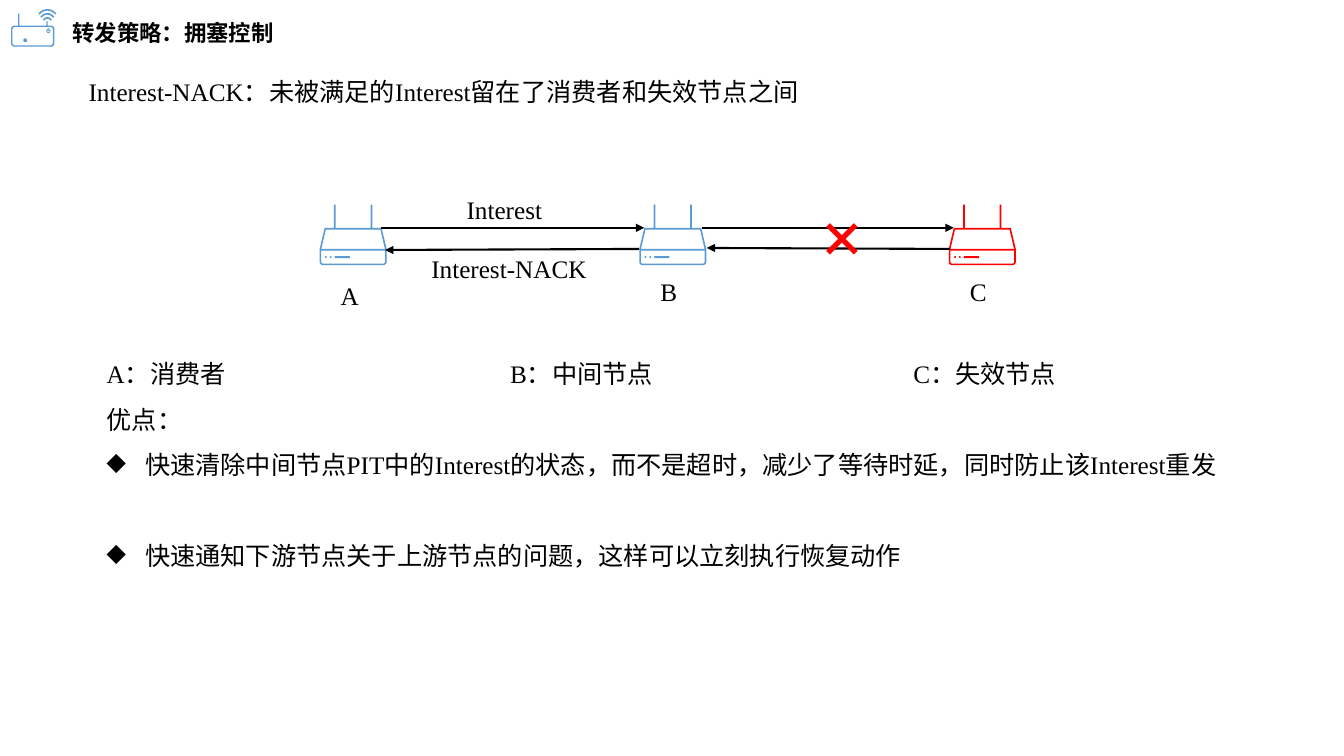
from math import cos, radians, sin

from lxml.etree import SubElement
from pptx import Presentation
from pptx.dml.color import RGBColor
from pptx.enum.shapes import MSO_CONNECTOR
from pptx.enum.text import MSO_AUTO_SIZE
from pptx.oxml.ns import qn
from pptx.util import Inches, Pt

# The slide is a grid of 1333 columns by 750 rows.
COLS, ROWS = 1333, 750
CELL = Inches(0.01)
FONT = "Times New Roman"
BLACK, BLUE, RED = "000000", "5B9BD5", "FF0000"

ROUTER_TOP = 203
ROUTERS = [("A", 317, 273, BLUE), ("B", 634, 269, BLUE), ("C", 941, 269, RED)]
ARROWS = [
    ((378, 226), (639, 226)),
    ((696, 226), (946, 226)),
    ((942, 247), (701, 246)),
    ((634, 247), (382, 248)),
]
ADVANTAGES = [
    "快速清除中间节点PIT中的Interest的状态，而不是超时，减少了等待时延，同时防止该Interest重发",
    "快速通知下游节点关于上游节点的问题，这样可以立刻执行恢复动作",
]


def grid(n):
    return round(n * CELL)


def rgb(color):
    return RGBColor.from_string(color)


def arc(cx, cy, radius, start, end, steps=8):
    """Points along a circle, angles in degrees clockwise from the right."""
    angles = [radians(start + (end - start) * i / steps) for i in range(steps + 1)]
    return [(cx + radius * cos(a), cy + radius * sin(a)) for a in angles]


def box(left, top, right, bottom):
    return [(left, top), (right, top), (right, bottom), (left, bottom)]


def round_box(left, top, right, bottom, radius):
    l, t, r, b = left + radius, top + radius, right - radius, bottom - radius
    corners = [(l, t, 180), (r, t, 270), (r, b, 0), (l, b, 90)]
    return [pt for x, y, a in corners for pt in arc(x, y, radius, a, a + 90)]


def disc(cx, cy, radius):
    return arc(cx, cy, radius, 0, 360, 16)


def band(cx, cy, radius, width, half_angle):
    """A curved wireless wave, centred on the upward direction."""
    ends = (270 - half_angle, 270 + half_angle)
    return arc(cx, cy, radius, *ends) + arc(cx, cy, radius - width, *ends[::-1])


def add_glyph(slide, left, top, contours, color):
    """One filled outline; a contour inside another one cuts a hole."""
    scaled = [[(grid(x), grid(y)) for x, y in c] for c in contours]
    builder = slide.shapes.build_freeform(*scaled[0][0])
    for i, points in enumerate(scaled):
        if i:
            builder.move_to(*points[0])
        builder.add_line_segments(points[1:], close=True)
    s = builder.convert_to_shape(grid(left), grid(top))
    s.shadow.inherit = False
    s.fill.solid()
    s.fill.fore_color.rgb = rgb(color)
    s.line.fill.background()


def add_router(slide, left, color):
    lower_edge = arc(63, 56.6, 3.5, 0, 90) + arc(3.5, 56.6, 3.5, 90, 180)
    lower_hole = arc(63, 56.6, 1.9, 0, 90) + arc(3.5, 56.6, 1.9, 90, 180)
    add_glyph(slide, left, ROUTER_TOP, [
        [(5, 23.2), (61.5, 23.2), (66.5, 44)] + lower_edge + [(0, 44)],
        [(6.2, 24.8), (60.3, 24.8), (64.8, 44), (1.7, 44)],
        [(1.6, 45.6), (64.9, 45.6)] + lower_hole,
        box(14.2, 0, 16, 23.2),
        box(50.5, 0, 52.3, 23.2),
        box(15, 51.2, 30, 53),
        disc(6.3, 52, 0.9),
        disc(11, 52, 0.9),
    ], color)


def add_title_icon(slide):
    waves = [(20.25, 11.25, 53), (21.3, 8.3, 57), (21.9, 4.9, 66)]
    add_glyph(slide, 0, 0, [
        round_box(11, 25.4, 54, 46.4, 3.5),
        round_box(12.4, 26.8, 52.4, 45, 2.2),
        box(18, 13.5, 19.3, 25.4),
        box(46, 21.3, 47.3, 25.4),
        disc(25, 40, 1.9),
        disc(48, 30.8, 2),
        disc(48, 30.8, 1.2),
        box(47.6, 28, 48.4, 31),
    ] + [band(47, cy, radius, 1.6, half) for cy, radius, half in waves], BLUE)


def add_run(p, text, size=18, color=BLACK, bold=False):
    r = p.add_run()
    r.text = text
    for name, value in {"name": FONT, "size": Pt(size), "bold": bold}.items():
        setattr(r.font, name, value)
    r.font.color.rgb = rgb(color)


def add_text(slide, at, text, **style):
    tf = slide.shapes.add_textbox(*map(grid, at)).text_frame
    tf.word_wrap = True
    tf.auto_size = MSO_AUTO_SIZE.SHAPE_TO_FIT_TEXT
    add_run(tf.paragraphs[0], text, **style)
    return tf


def add_arrow(slide, start, end):
    s = slide.shapes.add_connector(
        MSO_CONNECTOR.STRAIGHT, *map(grid, start + end))
    s.line.color.rgb = rgb(BLACK)
    s.line.width = Pt(1.5)
    SubElement(s.line._get_or_add_ln(), qn("a:tailEnd"), type="triangle")
    SubElement(s._element.spPr, qn("a:effectLst"))


def set_tab_stops(p, stops):
    tabs = SubElement(p._p.get_or_add_pPr(), qn("a:tabLst"))
    for stop in stops:
        SubElement(tabs, qn("a:tab"), pos=str(grid(stop)), algn="l")


def set_bullet(p, char, indent):
    pPr = p._p.get_or_add_pPr()
    pPr.set("marL", str(grid(indent)))
    pPr.set("indent", str(-grid(indent)))
    SubElement(pPr, qn("a:buChar"), char=char)


def add_explanation(slide):
    tf = add_text(slide, (96, 336, 1148, 232),
                  "A：消费者\tB：中间节点\tC：失效节点")
    for text in ["优点："] + ADVANTAGES:
        add_run(tf.add_paragraph(), text)
    for p in tf.paragraphs:
        p.line_spacing = 1.5
    legend, _, *bullets = tf.paragraphs
    bullets[-1].space_before = Pt(32.5)
    set_tab_stops(legend, (400, 800))
    for p in bullets:
        set_bullet(p, "◆", 38)


def main():
    prs = Presentation()
    prs.slide_width, prs.slide_height = grid(COLS), grid(ROWS)
    slide = prs.slides.add_slide(prs.slide_layouts[6])

    add_title_icon(slide)
    add_text(slide, (62, 14, 355, 37), "转发策略：拥塞控制", size=16, bold=True)
    add_text(slide, (78, 71, 782, 40),
             "Interest-NACK：未被满足的Interest留在了消费者和失效节点之间")
    for name, left, label_top, color in ROUTERS:
        add_router(slide, left, color)
        add_text(slide, (left + 11, label_top, 42, 40), name)
    for start, end in ARROWS:
        add_arrow(slide, start, end)
    add_text(slide, (804, 182, 86, 101), "×", size=54, color=RED, bold=True)
    add_text(slide, (453, 188, 127, 40), "Interest")
    add_text(slide, (418, 246, 187, 40), "Interest-NACK")
    add_explanation(slide)
    prs.save("out.pptx")


if __name__ == "__main__":
    main()
